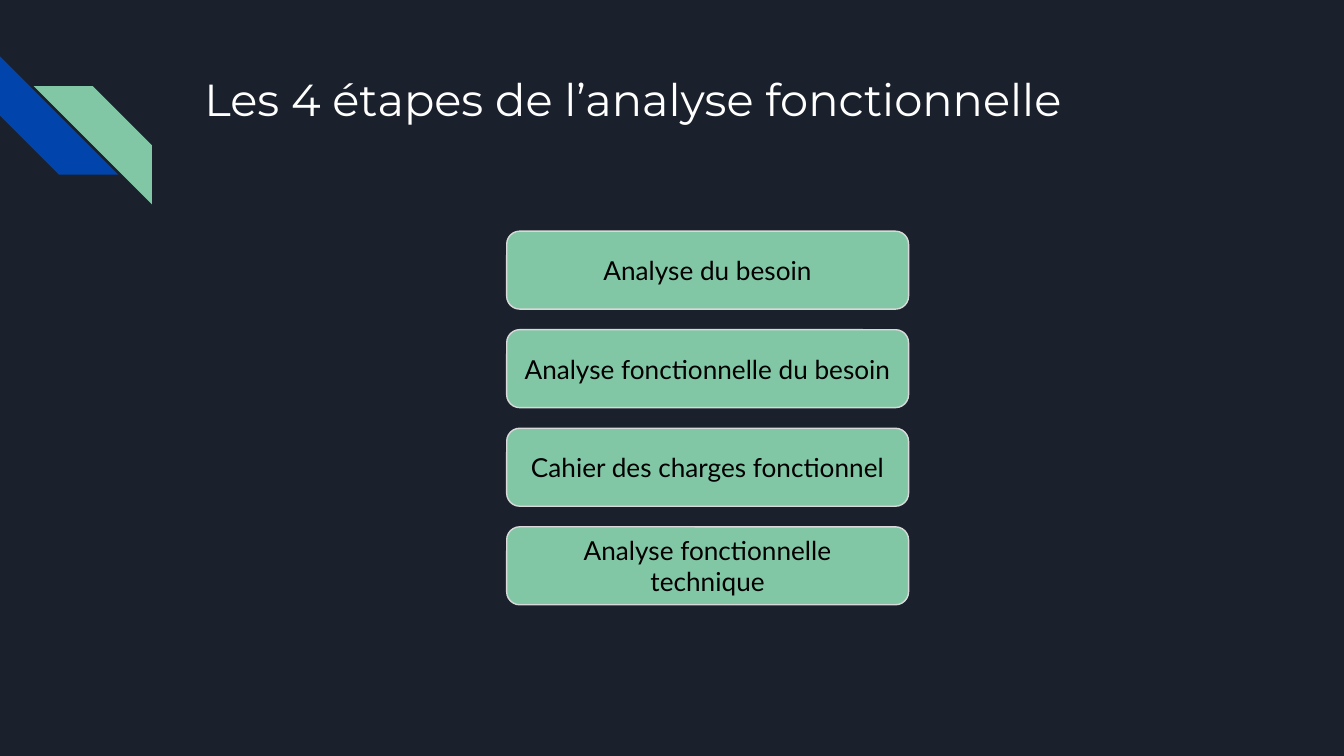
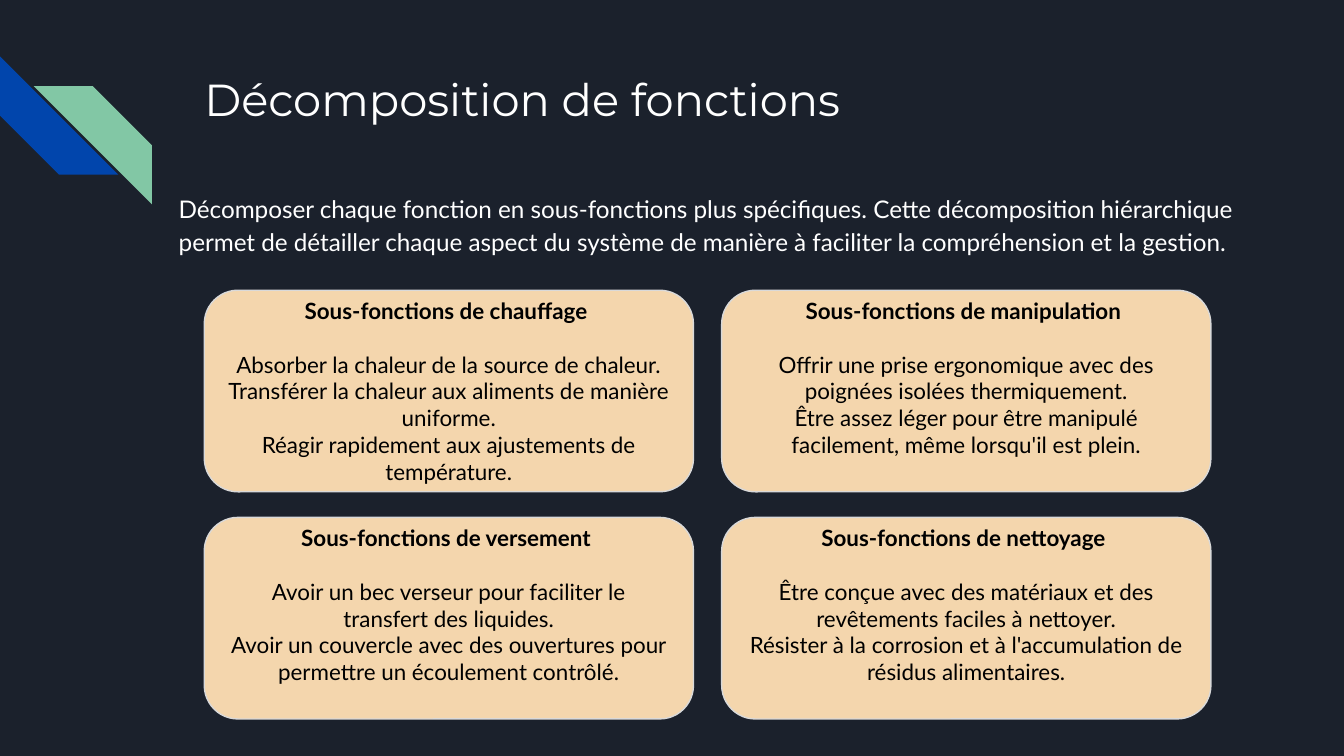
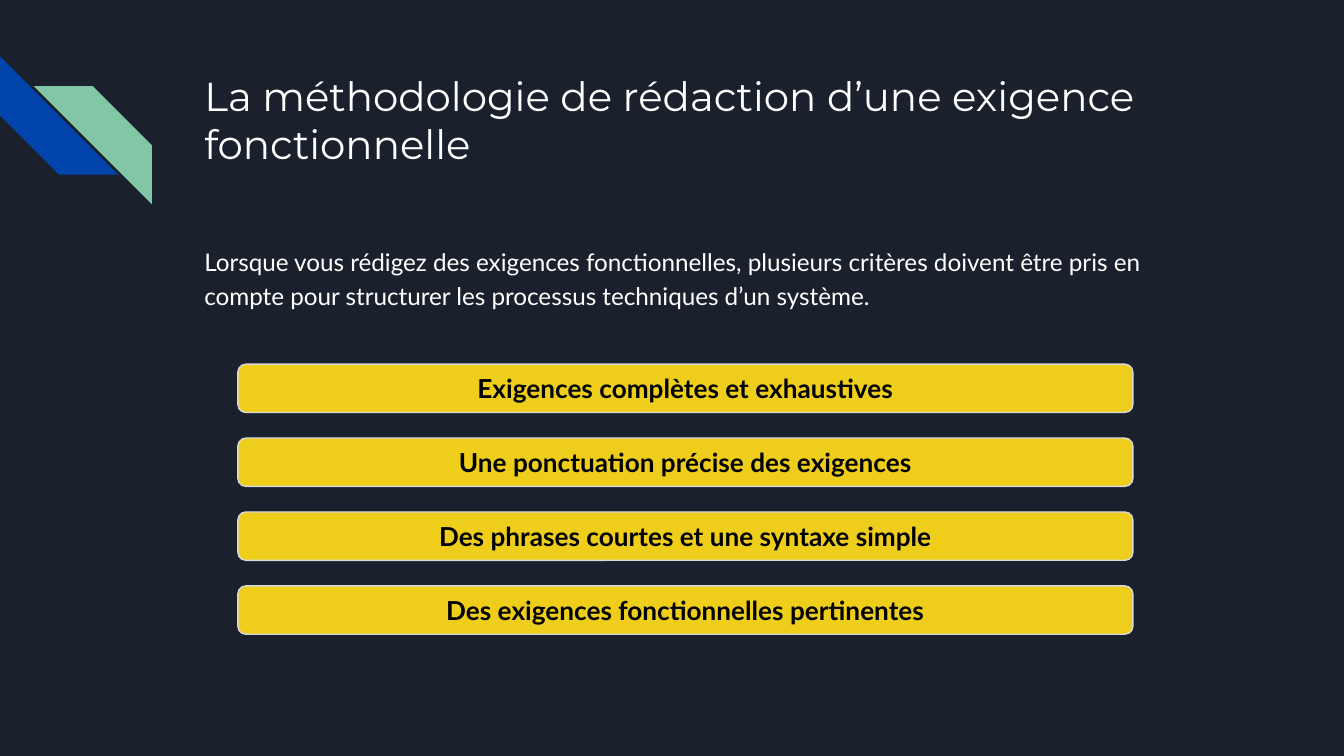
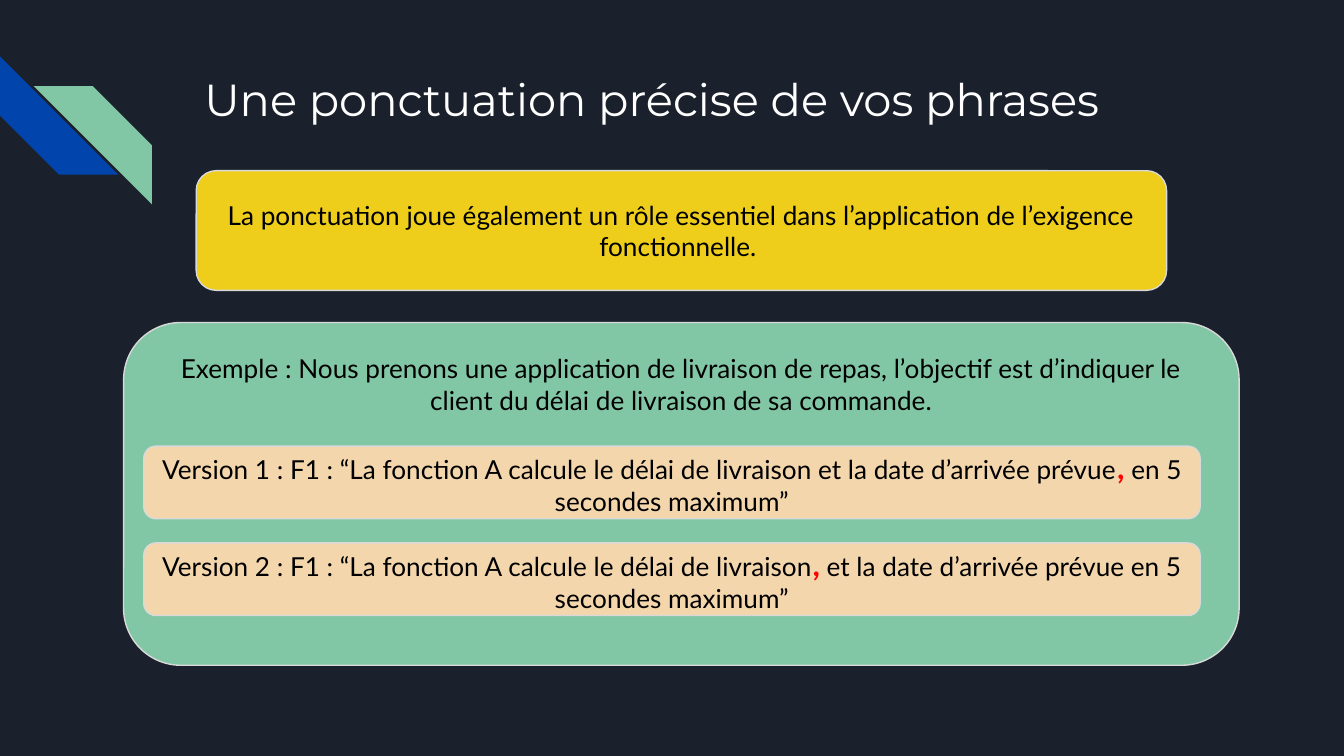
from lxml import etree
from pptx import Presentation
from pptx.dml.color import RGBColor
from pptx.enum.shapes import MSO_SHAPE
from pptx.enum.text import MSO_ANCHOR, MSO_AUTO_SIZE, PP_ALIGN
from pptx.oxml.ns import qn
from pptx.util import Inches, Pt

ROUNDED = MSO_SHAPE.ROUNDED_RECTANGLE
STRIPE = MSO_SHAPE.DIAGONAL_STRIPE
TOP, MIDDLE = MSO_ANCHOR.TOP, MSO_ANCHOR.MIDDLE
LEFT, CENTER = PP_ALIGN.LEFT, PP_ALIGN.CENTER
NO_AUTOFIT = MSO_AUTO_SIZE.NONE

NAVY, BLUE, GREEN = "1B212C", "0145AC", "82C7A5"
SAND, YELLOW, GREY = "F4D6AD", "EECE1A", "D9D9D9"
WHITE, BLACK, RED = "FFFFFF", "000000", "FF0000"
TITLE_FONT, TEXT_FONT = "Montserrat", "Lato"
TITLE_ONLY, TITLE_AND_BODY = 5, 1
CARD_SIZE = 12
LINE_HEIGHT = 1.2
TITLE_BOX = (1.42, 0.43, 7.7, 1)


def color(value):
    return RGBColor.from_string(value)


def place(shape, box):
    shape.left, shape.top, shape.width, shape.height = map(Inches, box)


def prepare_frame(shape, anchor, top=0.1, bottom=0.1):
    frame = shape.text_frame
    frame.word_wrap = True
    frame.auto_size = NO_AUTOFIT
    frame.vertical_anchor = anchor
    frame.margin_left = frame.margin_right = Inches(0.1)
    frame.margin_top, frame.margin_bottom = Inches(top), Inches(bottom)
    return frame


def add_run(paragraph, text, size, text_color=BLACK, bold=False, font=TEXT_FONT):
    run = paragraph.add_run()
    run.text = text
    run.font.name = font
    run.font.size = Pt(size)
    run.font.bold = bold
    run.font.color.rgb = color(text_color)


def add_stripe(slide, left, top, fill):
    shape = slide.shapes.add_shape(
        STRIPE, Inches(left), Inches(top), Inches(0.88), Inches(0.88))
    shape.shadow.inherit = False
    shape.fill.solid()
    shape.fill.fore_color.rgb = color(fill)
    shape.line.fill.background()
    return shape


def decorate_master(presentation, slide):
    master = presentation.slide_master
    master.background.fill.solid()
    master.background.fill.fore_color.rgb = color(NAVY)
    blue_stripe = add_stripe(slide, 0, 0.42, BLUE)
    blue_stripe.rotation = 270
    green_stripe = add_stripe(slide, 0.25, 0.64, GREEN)
    green_stripe.element.spPr.xfrm.set("flipH", "1")
    for stripe in (blue_stripe, green_stripe):
        master.element.cSld.spTree.append(stripe.element)


def add_slide(presentation, layout, title, size=24):
    slide = presentation.slides.add_slide(presentation.slide_layouts[layout])
    place(slide.shapes.title, TITLE_BOX)
    paragraph = prepare_frame(slide.shapes.title, TOP).paragraphs[0]
    paragraph.alignment = LEFT
    add_run(paragraph, title, size, WHITE, font=TITLE_FONT)
    return slide


def fill_body(slide, box, text):
    body = slide.placeholders[1]
    place(body, box)
    paragraph = prepare_frame(body, TOP).paragraphs[0]
    properties = paragraph._p.get_or_add_pPr()
    properties.set("marL", "0")
    properties.set("indent", "0")
    etree.SubElement(properties, qn("a:buNone"))
    paragraph.line_spacing = 1.15
    paragraph.space_before = Pt(0)
    paragraph.space_after = Pt(12)
    add_run(paragraph, text, 13, WHITE)


def add_box(slide, box, fill):
    shape = slide.shapes.add_shape(ROUNDED, *map(Inches, box))
    shape.shadow.inherit = False
    shape.fill.solid()
    shape.fill.fore_color.rgb = color(fill)
    shape.line.color.rgb = color(GREY)
    shape.line.width = Pt(0.75)
    return shape


def add_label(slide, box, fill, *texts, bold=False, anchor=MIDDLE):
    shape = add_box(slide, box, fill)
    paragraph = prepare_frame(shape, anchor).paragraphs[0]
    paragraph.alignment = CENTER
    for text in texts:
        if text == ",":
            add_run(paragraph, text, 17, RED, bold=True)
        else:
            add_run(paragraph, text, 14, bold=bold)


def add_stack(slide, box, pitch, fill, labels, bold=False):
    left, top, width, height = box
    for index, texts in enumerate(labels):
        row_box = (left, top + index * pitch, width, height)
        add_label(slide, row_box, fill, *texts, bold=bold)


def add_card(slide, box, heading, sentences, bottom):
    shape = add_box(slide, box, SAND)
    frame = prepare_frame(shape, MIDDLE, 0, bottom)
    paragraph = frame.paragraphs[0]
    paragraph.alignment = CENTER
    paragraph.space_after = Pt(CARD_SIZE * LINE_HEIGHT)
    add_run(paragraph, heading, CARD_SIZE, bold=True)
    for sentence in sentences:
        paragraph = frame.add_paragraph()
        paragraph.alignment = CENTER
        add_run(paragraph, sentence, CARD_SIZE)


def build_steps(presentation):
    slide = add_slide(presentation, TITLE_ONLY, "Les 4 étapes de l’analyse fonctionnelle")
    decorate_master(presentation, slide)
    add_stack(slide, (3.77, 1.72, 2.99, 0.58), 2.2 / 3, GREEN, [
        ["Analyse du besoin"],
        ["Analyse fonctionnelle du besoin"],
        ["Cahier des charges fonctionnel"],
        ["Analyse fonctionnelle technique"],
    ])


def build_decomposition(presentation):
    slide = add_slide(presentation, TITLE_AND_BODY, "Décomposition de fonctions")
    fill_body(slide, (1.23, 1.31, 8.07, 0.76),
              "Décomposer chaque fonction en sous-fonctions plus spécifiques. "
              "Cette décomposition hiérarchique permet de détailler chaque aspect "
              "du système de manière à faciliter la compréhension et la gestion.")
    cards = [
        ("Sous-fonctions de chauffage ", [
            "Absorber la chaleur de la source de chaleur.",
            "Transférer la chaleur aux aliments de manière uniforme.",
            "Réagir rapidement aux ajustements de température."]),
        ("Sous-fonctions de manipulation ", [
            "Offrir une prise ergonomique avec des poignées isolées thermiquement.",
            "Être assez léger pour être manipulé facilement, même lorsqu'il est plein."]),
        ("Sous-fonctions de versement ", [
            "Avoir un bec verseur pour faciliter le transfert des liquides.",
            "Avoir un couvercle avec des ouvertures pour permettre un écoulement contrôlé."]),
        ("Sous-fonctions de nettoyage ", [
            "Être conçue avec des matériaux et des revêtements faciles à nettoyer.",
            "Résister à la corrosion et à l'accumulation de résidus alimentaires."]),
    ]
    for index, (heading, sentences) in enumerate(cards):
        row, column = divmod(index, 2)
        box = (1.52 + column * 3.85, 2.16 + row * 1.69, 3.64, 1.5)
        bottom = 0.2 if len(sentences) == 2 else 0
        add_card(slide, box, heading, sentences, bottom)


def build_methodology(presentation):
    slide = add_slide(presentation, TITLE_AND_BODY,
                      "La méthodologie de rédaction d’une exigence fonctionnelle", 21.6)
    fill_body(slide, (1.42, 1.71, 7.7, 0.81),
              "Lorsque vous rédigez des exigences fonctionnelles, plusieurs critères "
              "doivent être pris en compte pour structurer les processus techniques "
              "d’un système.")
    add_stack(slide, (1.77, 2.71, 6.66, 0.36), 0.55, YELLOW, [
        ["Exigences complètes et exhaustives"],
        ["Une ponctuation précise des exigences"],
        ["Des phrases courtes et une syntaxe simple"],
        ["Des exigences fonctionnelles pertinentes"],
    ], bold=True)


def build_punctuation(presentation):
    slide = add_slide(presentation, TITLE_ONLY, "Une ponctuation précise de vos phrases")
    add_label(slide, (1.46, 1.27, 7.22, 0.89), YELLOW,
              "La ponctuation joue également un rôle essentiel dans l’application "
              "de l’exigence fonctionnelle. ")
    add_label(slide, (0.92, 2.4, 8.3, 2.55), GREEN,
              "Exemple : Nous prenons une application de livraison de repas, l’objectif "
              "est d’indiquer le client du délai de livraison de sa commande.", anchor=TOP)
    add_stack(slide, (1.07, 3.32, 7.86, 0.54), 0.72, SAND, [
        ["Version 1 : F1 : “La fonction A calcule le délai de livraison "
         "et la date d’arrivée prévue", ",", " en 5 secondes maximum”"],
        ["Version 2 : F1 : “La fonction A calcule le délai de livraison", ",",
         " et la date d’arrivée prévue en 5 secondes maximum”"],
    ])


def main():
    presentation = Presentation()
    presentation.slide_width = Inches(10)
    presentation.slide_height = presentation.slide_width * 9 // 16
    build_steps(presentation)
    build_decomposition(presentation)
    build_methodology(presentation)
    build_punctuation(presentation)
    presentation.save("out.pptx")


if __name__ == "__main__":
    main()
